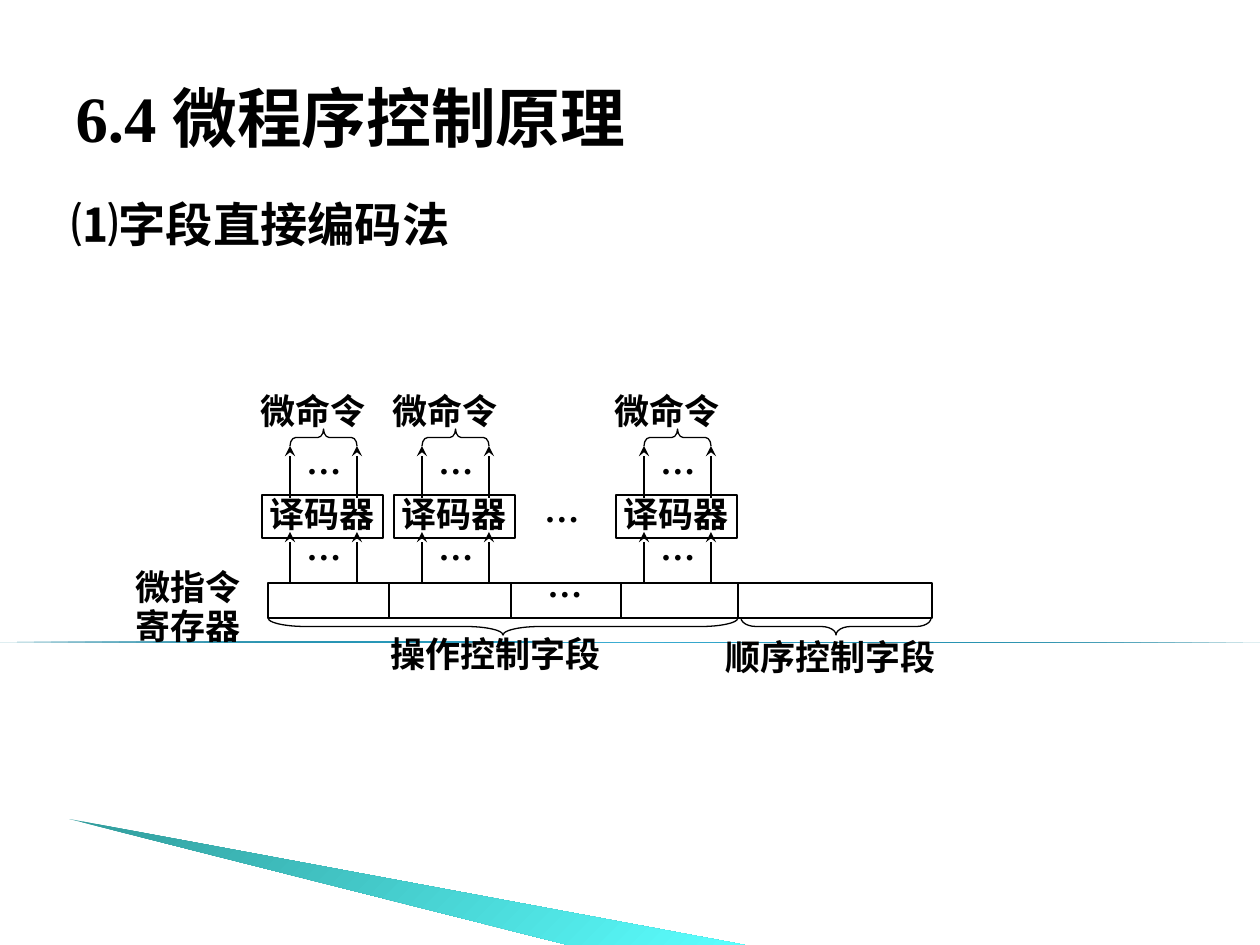
"""Build the slide on direct field encoding of microinstructions."""
import copy

import pptx
import pptx.dml.color
import pptx.enum.shapes
import pptx.enum.text
import pptx.oxml.ns
import pptx.util
from lxml import etree

PX = 914400 / 126
BLACK = pptx.dml.color.RGBColor(0x00, 0x00, 0x00)
BLUE = pptx.dml.color.RGBColor(0x00, 0x78, 0x97)
SKY = pptx.dml.color.RGBColor(0x4A, 0xBB, 0xE0)
TEAL = pptx.dml.color.RGBColor(0x31, 0x9C, 0x9C)
CYAN = pptx.dml.color.RGBColor(0x5B, 0xFF, 0xFF)
LATIN = "Times New Roman"
HAN = "Noto Sans CJK SC"
KIND = pptx.enum.shapes.MSO_SHAPE
ALIGN = pptx.enum.text.PP_ALIGN
MIDDLE = pptx.enum.text.MSO_ANCHOR.MIDDLE
COLUMNS = (290, 422, 644)
SPAN = 67


def emu(*sizes):
    """Turn pixels into EMU."""
    return [round(size * PX) for size in sizes]


def tag(parent, name, **attrs):
    """Append a drawing element to a parent."""
    return etree.SubElement(parent, pptx.oxml.ns.qn(name), attrs)


def style(para, size, align=ALIGN.LEFT):
    """Format one paragraph in bold black."""
    para.alignment = align
    font = para.font
    font.size = pptx.util.Pt(size)
    font.bold = True
    font.name = LATIN
    font.color.rgb = BLACK
    tag(para._p.pPr.find(pptx.oxml.ns.qn("a:defRPr")), "a:ea", typeface=HAN)


def title(slide, text):
    """Fill and place the title."""
    shape = slide.shapes.title
    shape.left, shape.top, shape.width, shape.height = emu(63, 38, 1134, 157)
    frame = shape.text_frame
    frame.text = text
    frame.vertical_anchor = MIDDLE
    style(frame.paragraphs[0], 37)


def label(slide, text, x, y, w, h=55, size=20):
    """Add a text box and return its paragraphs."""
    frame = slide.shapes.add_textbox(*emu(x, y, w, h)).text_frame
    frame.word_wrap = True
    frame.text = text
    for para in frame.paragraphs:
        style(para, size)
    return frame.paragraphs


def shape(slide, kind, x, y, w, h):
    """Add an outlined shape without fill."""
    item = slide.shapes.add_shape(kind, *emu(x, y, w, h))
    item.shadow.inherit = False
    item.fill.background()
    item.line.color.rgb = BLACK
    item.line.width = pptx.util.Pt(0.75)
    return item


def coder(slide, x, y):
    """Add a decoder box."""
    frame = shape(slide, KIND.RECTANGLE, x, y, 121, 43).text_frame
    frame.word_wrap = False
    frame.vertical_anchor = MIDDLE
    frame.text = "译码器"
    para = frame.paragraphs[0]
    para.line_spacing = 0.9
    style(para, 20, ALIGN.CENTER)


def brace(slide, kind, x, y, w, curve):
    """Add a brace lying on its side over a span."""
    deep = 17
    item = shape(slide, kind, x + (w - deep) / 2, y + (deep - w) / 2, deep, w)
    item.rotation = 90
    item.adjustments[0] = curve


def line(slide, x, start, end, arrow=False):
    """Add an upright line, with an arrowhead if asked."""
    kind = pptx.enum.shapes.MSO_CONNECTOR.STRAIGHT
    item = slide.shapes.add_connector(kind, *emu(x, start, x, end))
    item.line.color.rgb = BLACK
    item.line.width = pptx.util.Pt(0.75)
    if arrow:
        tag(item.line._get_or_add_ln(), "a:tailEnd", type="stealth")
    tag(item._element.spPr, "a:effectLst")


def blend(item, angle, *colors):
    """Fill a shape with evenly spaced gradient colours."""
    item.shadow.inherit = False
    item.line.fill.background()
    item.fill.gradient()
    stops = item._element.xpath(".//a:gsLst")[0]
    for _ in colors[2:]:
        stops.append(copy.deepcopy(stops[0]))
    for i, (stop, color) in enumerate(zip(item.fill.gradient_stops, colors)):
        stop.position = i / (len(colors) - 1)
        stop.color.rgb = color
    item.fill.gradient_angle = 360 - angle


def decor(slide):
    """Draw the thin rule and the wedge."""
    rule = slide.shapes.add_shape(KIND.RIGHT_TRIANGLE, *emu(0, 642, 1260, 0))
    blend(rule, 50, BLUE, SKY, BLUE)
    path = slide.shapes.build_freeform(69, 819, scale=PX)
    path.add_line_segments([(745, 945), (568, 945)])
    blend(path.convert_to_shape(), 45, TEAL, CYAN)


def column(slide, x):
    """Draw one decoder with its arrows, brace and labels."""
    coder(slide, x - 28, 495)
    for side in (x, x + SPAN):
        line(slide, side, 498, 446, True)
        line(slide, side, 583, 532, True)
    brace(slide, KIND.LEFT_BRACE, x, 429, SPAN, 0.33)
    label(slide, "微命令", x - 42, 383, 243)
    for y in (433, 519):
        label(slide, "…", x + 4, y, 296)


def bank(slide):
    """Draw the register with its fields and captions."""
    shape(slide, KIND.RECTANGLE, 268, 583, 664, 35)
    for x in (389, 511, 621, 738):
        line(slide, x, 583, 618)
    brace(slide, KIND.RIGHT_BRACE, 268, 618, 470, 2.2)
    brace(slide, KIND.RIGHT_BRACE, 741, 618, 190, 0.88)
    label(slide, "操作控制字段", 378, 626, 280)
    label(slide, "顺序控制字段", 713, 629, 291)
    name = label(slide, "微指令\n寄存器", 123, 559, 243, 89)[1]
    name.line_spacing = 0.3
    name.space_before = pptx.util.Pt(12.5)


def main():
    """Build and save the deck."""
    deck = pptx.Presentation()
    deck.slide_width, deck.slide_height = emu(1260, 945)
    slide = deck.slides.add_slide(deck.slide_layouts[5])
    decor(slide)
    title(slide, "6.4 微程序控制原理")
    label(slide, "⑴字段直接编码法", 59, 189, 1134, 80, 27)
    for x in COLUMNS:
        column(slide, x)
    bank(slide)
    for x, y in ((532, 481), (535, 556)):
        label(slide, "…", x, y, 296)
    deck.save("out.pptx")


if __name__ == "__main__":
    main()
